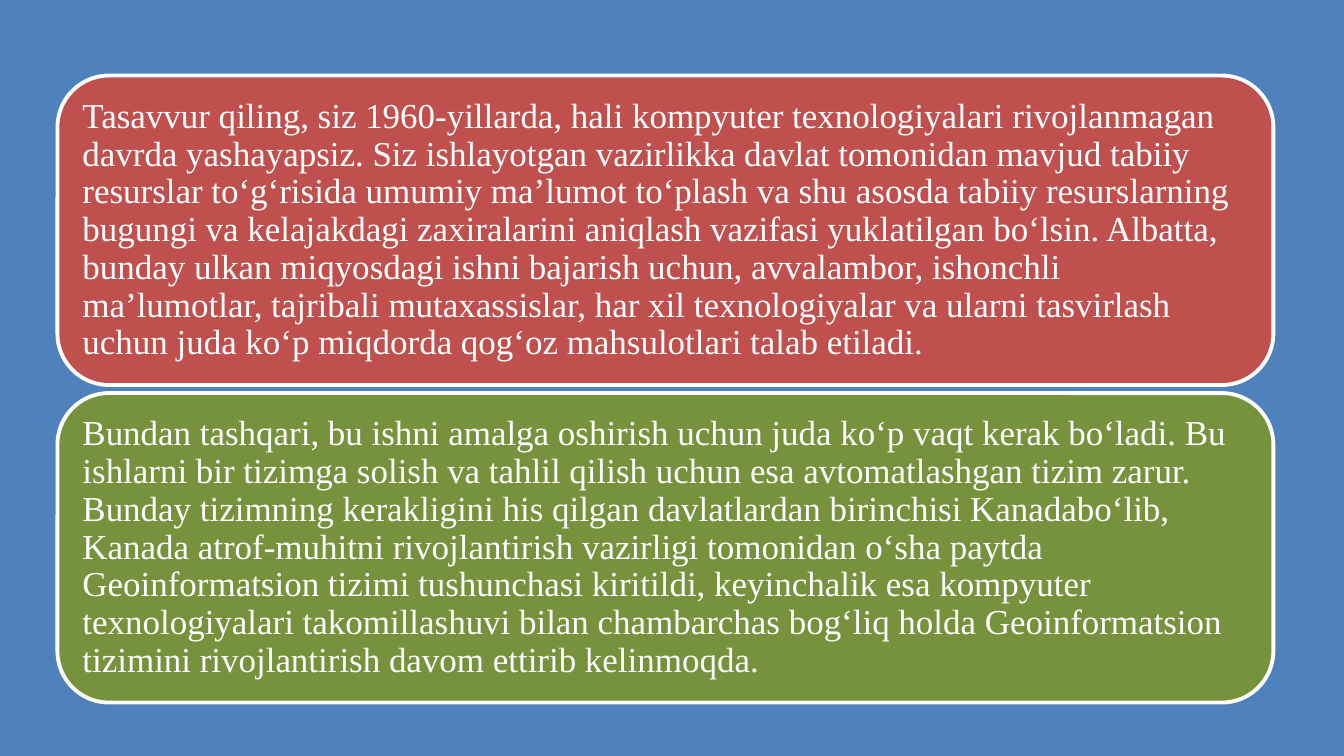
from pptx import Presentation
from pptx.dml.color import RGBColor
from pptx.enum.shapes import MSO_SHAPE
from pptx.enum.text import MSO_ANCHOR, PP_ALIGN
from pptx.util import Inches, Pt

BLUE = RGBColor(0x4F, 0x81, 0xBD)
RED = RGBColor(0xC0, 0x50, 0x4D)
GREEN = RGBColor(0x76, 0x92, 0x3C)
WHITE = RGBColor(0xFF, 0xFF, 0xFF)

BLANK_LAYOUT = 6
PANEL_LEFT, PANEL_TOP = 0.57, 0.75
PANEL_WIDTH, PANEL_HEIGHT = 12.06, 3.07
PANEL_STEP = 3.15

PANELS = [
    (RED, "Tasavvur qiling, siz 1960-yillarda, hali kоmpyuter teхnologiyalari rivojlanmagan "
          "davrda yashayapsiz. Siz ishlayotgan vazirlikka davlat tomonidan mavjud tabiiy "
          "resurslar toʻgʻrisida umumiy ma’lumot toʻplash va shu asosda tabiiy resurslarning "
          "bugungi va kelajakdagi zaхiralarini aniqlash vazifasi yuklatilgan boʻlsin. Albatta, "
          "bunday ulkan miqyosdagi ishni bajarish uchun, avvalambor, ishonchli "
          "ma’lumotlar, tajribali mutaхassislar, har хil teхnologiyalar va ularni tasvirlash "
          "uchun juda koʻp miqdorda qogʻoz mahsulotlari talab etiladi."),
    (GREEN, "Bundan tashqari, bu ishni amalga oshirish uchun juda koʻp vaqt kerak boʻladi. Bu "
            "ishlarni bir tizimga solish va tahlil qilish uchun esa avtomatlashgan tizim zarur. "
            "Bunday tizimning kerakligini his qilgan davlatlardan birinchisi Kanadaboʻlib, "
            "Kanada atrof-muhitni rivojlantirish vazirligi tomonidan oʻsha paytda "
            "Geоinfоrmаtsiоn tizimi tushunchasi kiritildi, keyinchalik esa kоmpyuter "
            "teхnologiyalari takomillashuvi bilan chambarchas bogʻliq holda Geоinfоrmаtsiоn "
            "tizimini rivojlantirish davom ettirib kelinmoqda."),
]


class SlideBuilder:
    """Holds the text style and the current slide."""

    font_name = "Times New Roman"
    font_size = Pt(25)
    inset = Inches(0.1)

    def __init__(self, slide):
        self.slide = slide

    def background(self, color):
        fill = self.slide.background.fill
        fill.solid()
        fill.fore_color.rgb = color

    def panel(self, top, color, text):
        shape = self.slide.shapes.add_shape(
            MSO_SHAPE.ROUNDED_RECTANGLE, Inches(PANEL_LEFT), Inches(top),
            Inches(PANEL_WIDTH), Inches(PANEL_HEIGHT))
        shape.shadow.inherit = False
        shape.fill.solid()
        shape.fill.fore_color.rgb = color
        shape.line.color.rgb = WHITE
        shape.line.width = Pt(2.75)
        self.body_text(shape.text_frame, text)

    def body_text(self, frame, text):
        frame.word_wrap = True
        frame.vertical_anchor = MSO_ANCHOR.MIDDLE
        frame.margin_left = frame.margin_right = self.inset
        frame.margin_top = frame.margin_bottom = self.inset
        paragraph = frame.paragraphs[0]
        paragraph.alignment = PP_ALIGN.LEFT
        paragraph.line_spacing = 0.9
        run = paragraph.add_run()
        run.text = text
        run.font.name = self.font_name
        run.font.size = self.font_size
        run.font.color.rgb = WHITE


def main():
    presentation = Presentation()
    presentation.slide_width = Inches(13.33)
    presentation.slide_height = Inches(7.5)
    layout = presentation.slide_layouts[BLANK_LAYOUT]
    builder = SlideBuilder(presentation.slides.add_slide(layout))

    # Background
    builder.background(BLUE)

    # Stacked text panels
    for index, (color, text) in enumerate(PANELS):
        builder.panel(PANEL_TOP + index * PANEL_STEP, color, text)

    presentation.save("out.pptx")


if __name__ == "__main__":
    main()
